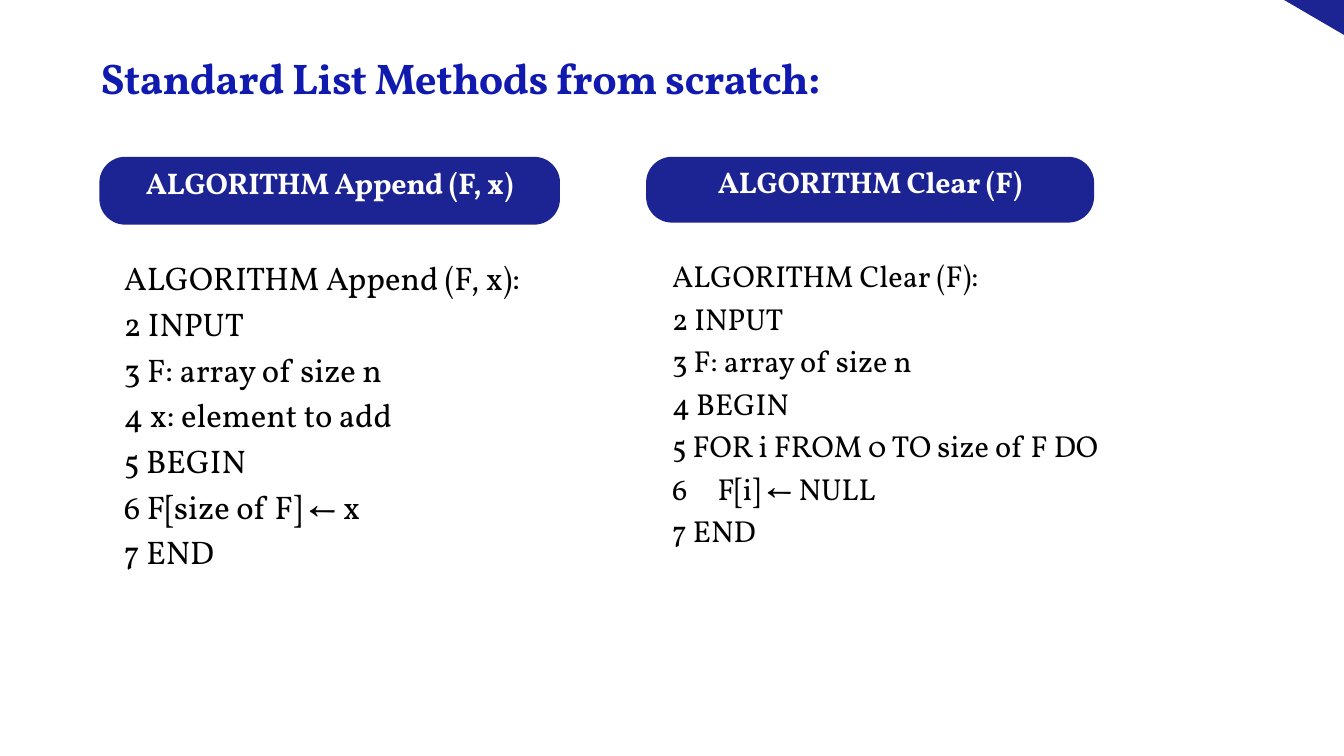
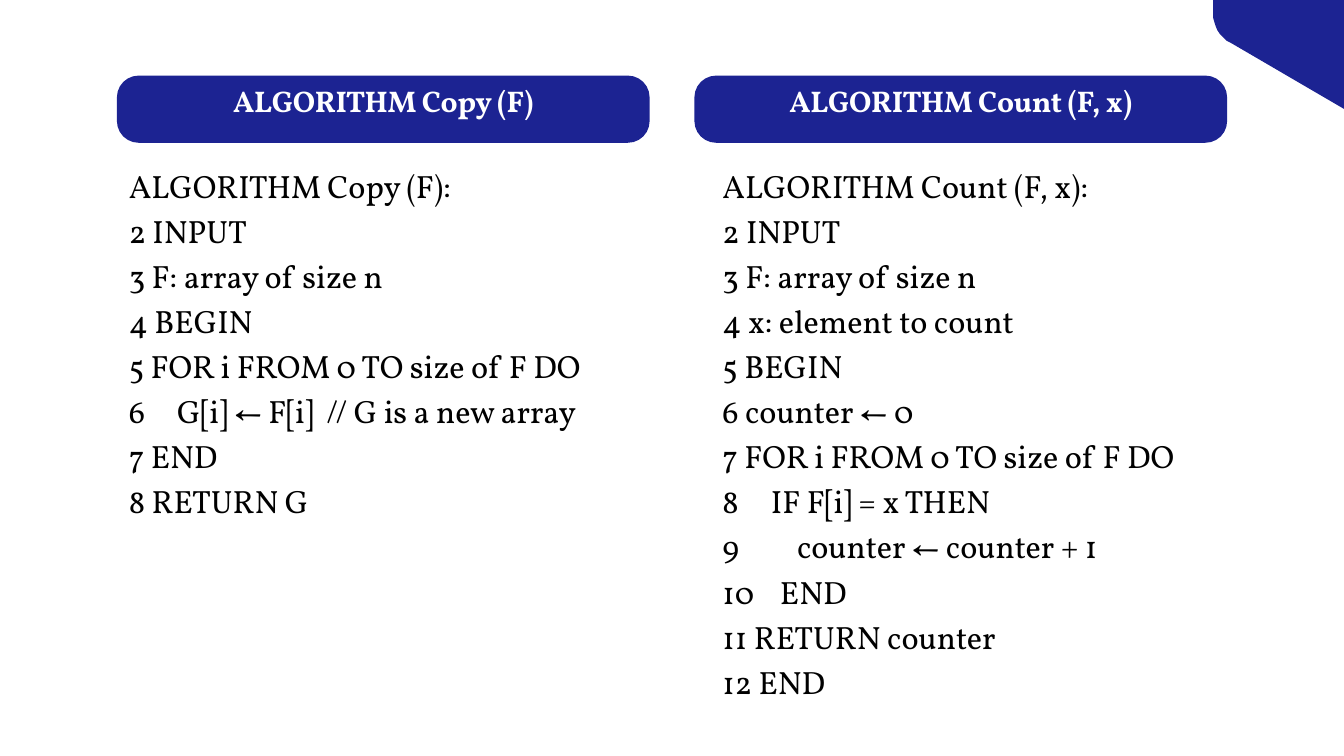
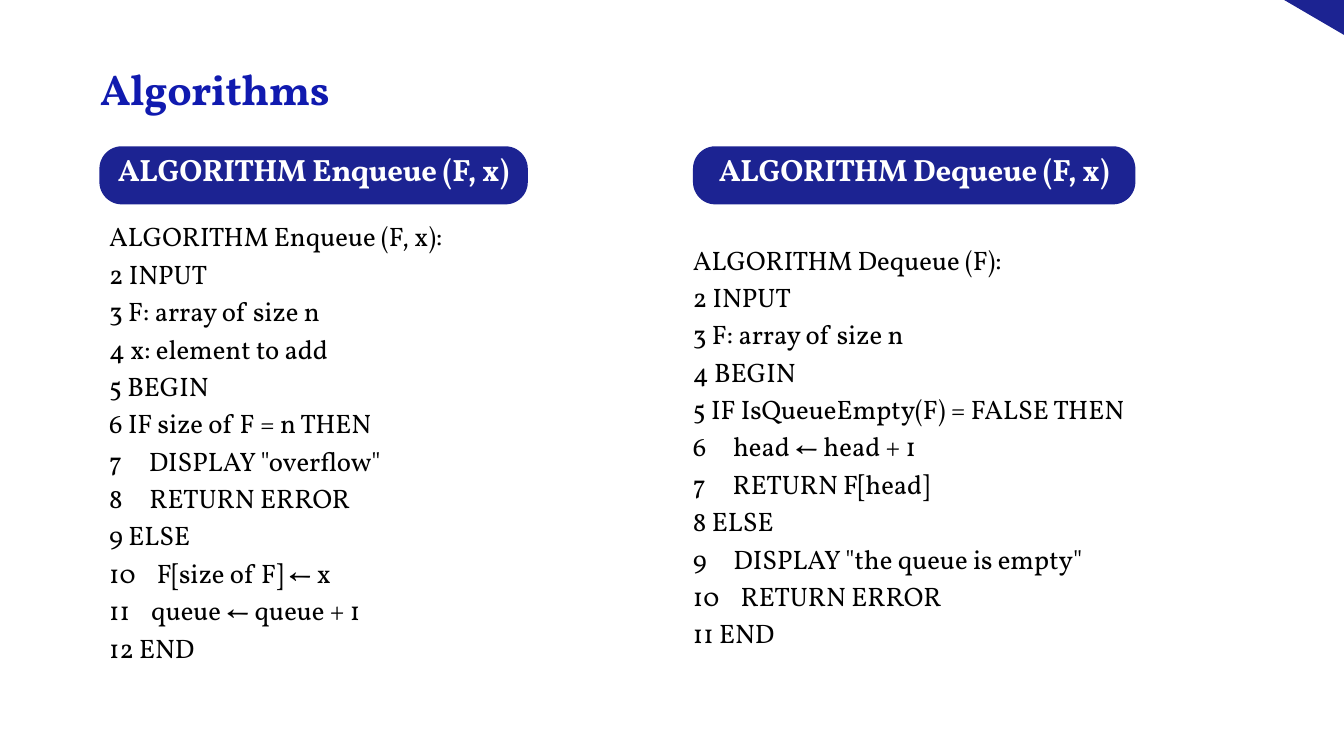
from dataclasses import dataclass
from typing import Any, Optional

from pptx import Presentation
from pptx import slide as sl
from pptx import util as u
from pptx.dml.color import RGBColor
from pptx.enum import shapes, text

# Shared look
PX = 9525  # EMU in one px
NAVY = RGBColor(0x1C, 0x23, 0x92)
BLUE = RGBColor(0x10, 0x1A, 0xAF)
BLACK = RGBColor(0, 0, 0)
WHITE = RGBColor(0xFF, 0xFF, 0xFF)
FONT = "Vollkorn"
LEADING = 1.4  # line height as a multiple of the text size
TITLE_ONLY, BLANK = 5, 6

# Corner hexagon, measured from its centre
HEX_VERTICES = [(0, -587), (504, -294), (504, 294),
                (0, 587), (-504, 294), (-504, -294)]
HEX_SIDE, HEX_CUT, HEX_STEPS = 587, 29, 8


@dataclass(frozen=True)
class Box:
    left: int
    top: int
    width: int
    height: int


@dataclass(frozen=True)
class Style:
    size: float
    color: RGBColor
    bold: bool = False
    tracking: int = 0  # hundredths of a point
    align: text.PP_ALIGN = text.PP_ALIGN.LEFT


@dataclass(frozen=True)
class Algorithm:
    heading: str
    pill: Box
    radius: int
    code_box: Box
    code_size: float
    code: str
    heading_size: float = 32


@dataclass(frozen=True)
class Page:
    hexagon_centre: tuple[int, int]
    algorithms: list[Algorithm]
    title: str = ""
    title_box: Optional[Box] = None


TITLE = Style(46, BLUE, True, -50, text.PP_ALIGN.CENTER)

PAGES = [
    Page((2072, -449), [
        Algorithm("ALGORITHM Append (F, x)", Box(142, 224, 658, 97), 37,
                  Box(177, 359, 588, 648), 35, """\
ALGORITHM Append (F, x):
2 INPUT
3 F: array of size n
4 x: element to add
5 BEGIN
6 F[size of F] ← x
7 END"""),
        Algorithm("ALGORITHM Clear (F)", Box(923, 224, 640, 94), 37,
                  Box(960, 359, 647, 482), 32.5, """\
ALGORITHM Clear (F):
2 INPUT
3 F: array of size n
4 BEGIN
5 FOR i FROM 0 TO size of F DO
6     F[i] ← NULL
7 END"""),
    ], "Standard List Methods from scratch:", Box(-291, 62, 1898, 82)),
    Page((2237, -247), [
        Algorithm("ALGORITHM Copy (F)", Box(167, 108, 761, 96), 31,
                  Box(184, 228, 753, 575), 34.5, """\
ALGORITHM Copy (F):
2 INPUT
3 F: array of size n
4 BEGIN
5 FOR i FROM 0 TO size of F DO
6     G[i] ← F[i]  // G is a new array
7 END
8 RETURN G"""),
        Algorithm("ALGORITHM Count (F, x)", Box(992, 108, 761, 96), 31,
                  Box(1032, 228, 683, 831), 34.5, """\
ALGORITHM Count (F, x):
2 INPUT
3 F: array of size n
4 x: element to count
5 BEGIN
6 counter ← 0
7 FOR i FROM 0 TO size of F DO
8     IF F[i] = x THEN
9         counter ← counter + 1
10    END
11 RETURN counter
12 END"""),
    ]),
    Page((2072, -449), [
        Algorithm("ALGORITHM Enqueue (F, x)", Box(142, 209, 612, 83), 32,
                  Box(156, 307, 500, 690), 28.6, """\
ALGORITHM Enqueue (F, x):
2 INPUT
3 F: array of size n
4 x: element to add
5 BEGIN
6 IF size of F = n THEN
7     DISPLAY "overflow"
8     RETURN ERROR
9 ELSE
10    F[size of F] ← x
11    queue ← queue + 1
12 END""", 33),
        Algorithm("ALGORITHM Dequeue (F, x)", Box(990, 209, 632, 83), 32,
                  Box(990, 340, 654, 690), 28.6, """\
ALGORITHM Dequeue (F):
2 INPUT
3 F: array of size n
4 BEGIN
5 IF IsQueueEmpty(F) = FALSE THEN
6     head ← head + 1
7     RETURN F[head]
8 ELSE
9     DISPLAY "the queue is empty"
10    RETURN ERROR
11 END""", 33),
    ], "Algorithms", Box(-47, 77, 708, 82)),
]


def emu(box: Box) -> tuple[int, int, int, int]:
    return box.left * PX, box.top * PX, box.width * PX, box.height * PX


def apply(target: Any, values: dict[str, Any]) -> None:
    for name, value in values.items():
        setattr(target, name, value)


def write(frame: Any, lines: list[str], style: Style, inset: int = 0,
          anchor: text.MSO_ANCHOR = text.MSO_ANCHOR.TOP) -> None:
    """Fill a text frame with one paragraph per line."""
    margins = {f"margin_{side}": inset * PX
               for side in ("left", "top", "right", "bottom")}
    apply(frame, {"word_wrap": True, "auto_size": text.MSO_AUTO_SIZE.NONE,
                  "vertical_anchor": anchor, **margins})
    for i, line in enumerate(lines):
        paragraph = frame.add_paragraph() if i else frame.paragraphs[0]
        apply(paragraph, {"alignment": style.align, "space_before": u.Pt(0),
                          "line_spacing": u.Pt(style.size * LEADING)})
        run = paragraph.add_run()
        run.text = line
        apply(run.font, {"name": FONT, "size": u.Pt(style.size),
                         "bold": style.bold})
        run.font.color.rgb = style.color
        if style.tracking:
            run._r.get_or_add_rPr().set("spc", str(style.tracking))


def paint(shape: Any) -> None:
    shape.shadow.inherit = False
    shape.fill.solid()
    shape.fill.fore_color.rgb = NAVY
    shape.line.fill.background()


def draw_hexagon(slide: sl.Slide, centre: tuple[int, int]) -> None:
    """Draw the corner hexagon, rounding each vertex with a quadratic curve."""
    points = []
    for i, (x, y) in enumerate(HEX_VERTICES):
        before = HEX_VERTICES[i - 1]
        after = HEX_VERTICES[(i + 1) % len(HEX_VERTICES)]
        for step in range(HEX_STEPS + 1):
            t = step / HEX_STEPS
            back = (1 - t) ** 2 * HEX_CUT / HEX_SIDE
            ahead = t ** 2 * HEX_CUT / HEX_SIDE
            points.append((
                centre[0] + x + back * (before[0] - x) + ahead * (after[0] - x),
                centre[1] + y + back * (before[1] - y) + ahead * (after[1] - y)))
    outline = slide.shapes.build_freeform(*points[0], scale=PX)
    outline.add_line_segments(points[1:], close=True)
    paint(outline.convert_to_shape())


def draw_algorithm(slide: sl.Slide, algorithm: Algorithm) -> None:
    # Pill
    box = algorithm.pill
    pill = slide.shapes.add_shape(
        shapes.MSO_SHAPE.ROUNDED_RECTANGLE, *emu(box))
    pill.adjustments[0] = algorithm.radius / box.height
    paint(pill)
    # Heading, in a box that rises a third above the pill
    rise = box.height // 3
    heading = slide.shapes.add_textbox(
        *emu(Box(box.left, box.top - rise, box.width, box.height + rise)))
    write(heading.text_frame, [algorithm.heading],
          Style(algorithm.heading_size, WHITE, True, -30, text.PP_ALIGN.CENTER),
          6, text.MSO_ANCHOR.MIDDLE)
    # Pseudocode
    code = slide.shapes.add_textbox(*emu(algorithm.code_box))
    write(code.text_frame, algorithm.code.splitlines(),
          Style(algorithm.code_size, BLACK))


def draw_page(deck: Any, page: Page) -> None:
    layout = TITLE_ONLY if page.title_box else BLANK
    slide = deck.slides.add_slide(deck.slide_layouts[layout])
    draw_hexagon(slide, page.hexagon_centre)
    if page.title_box:
        title = slide.shapes.title
        apply(title, dict(zip(("left", "top", "width", "height"),
                              emu(page.title_box))))
        write(title.text_frame, [page.title], TITLE)
    for algorithm in page.algorithms:
        draw_algorithm(slide, algorithm)


def main() -> None:
    deck = Presentation()
    apply(deck, {"slide_width": 1920 * PX, "slide_height": 1080 * PX})
    for page in PAGES:
        draw_page(deck, page)
    deck.save("out.pptx")


if __name__ == "__main__":
    main()
